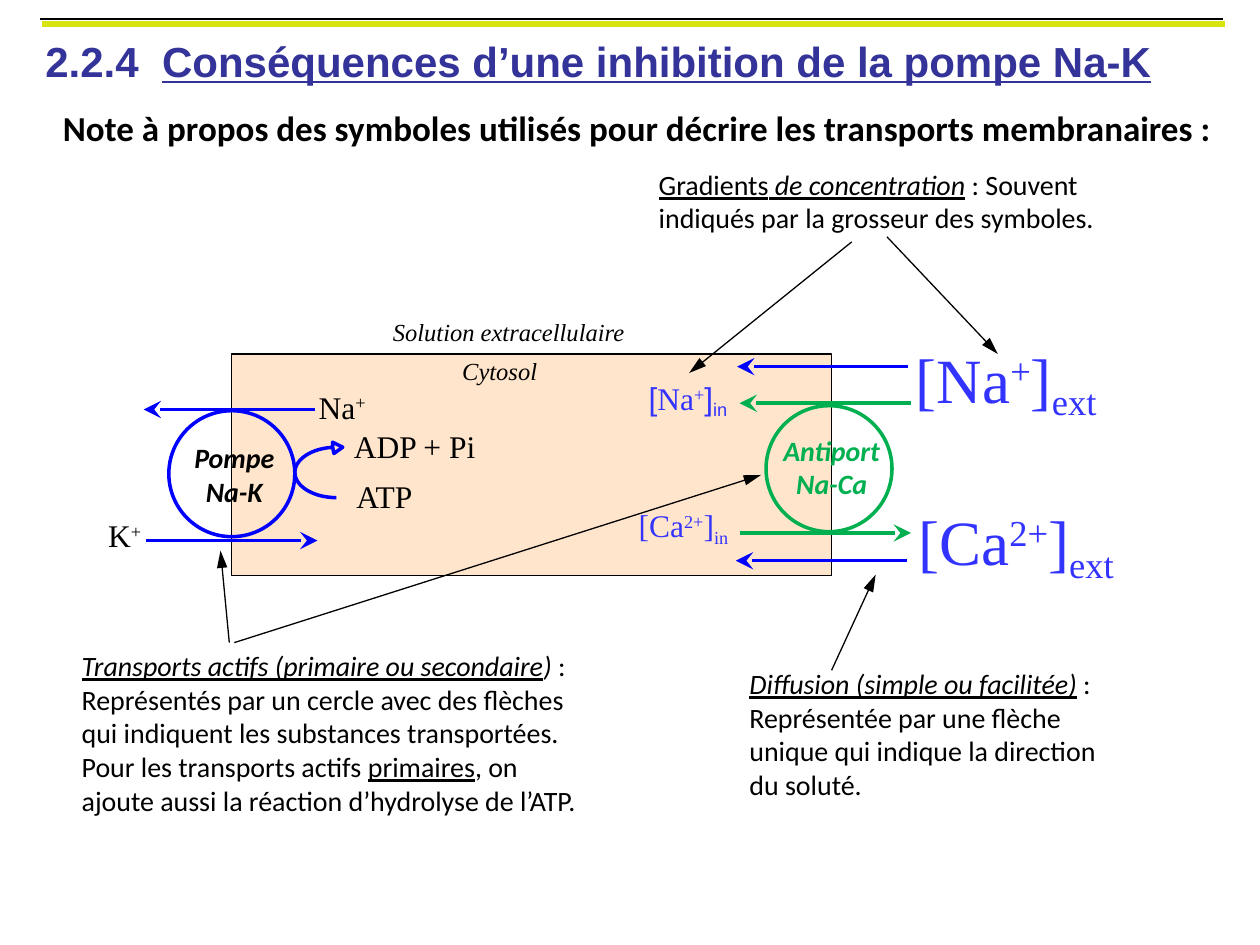
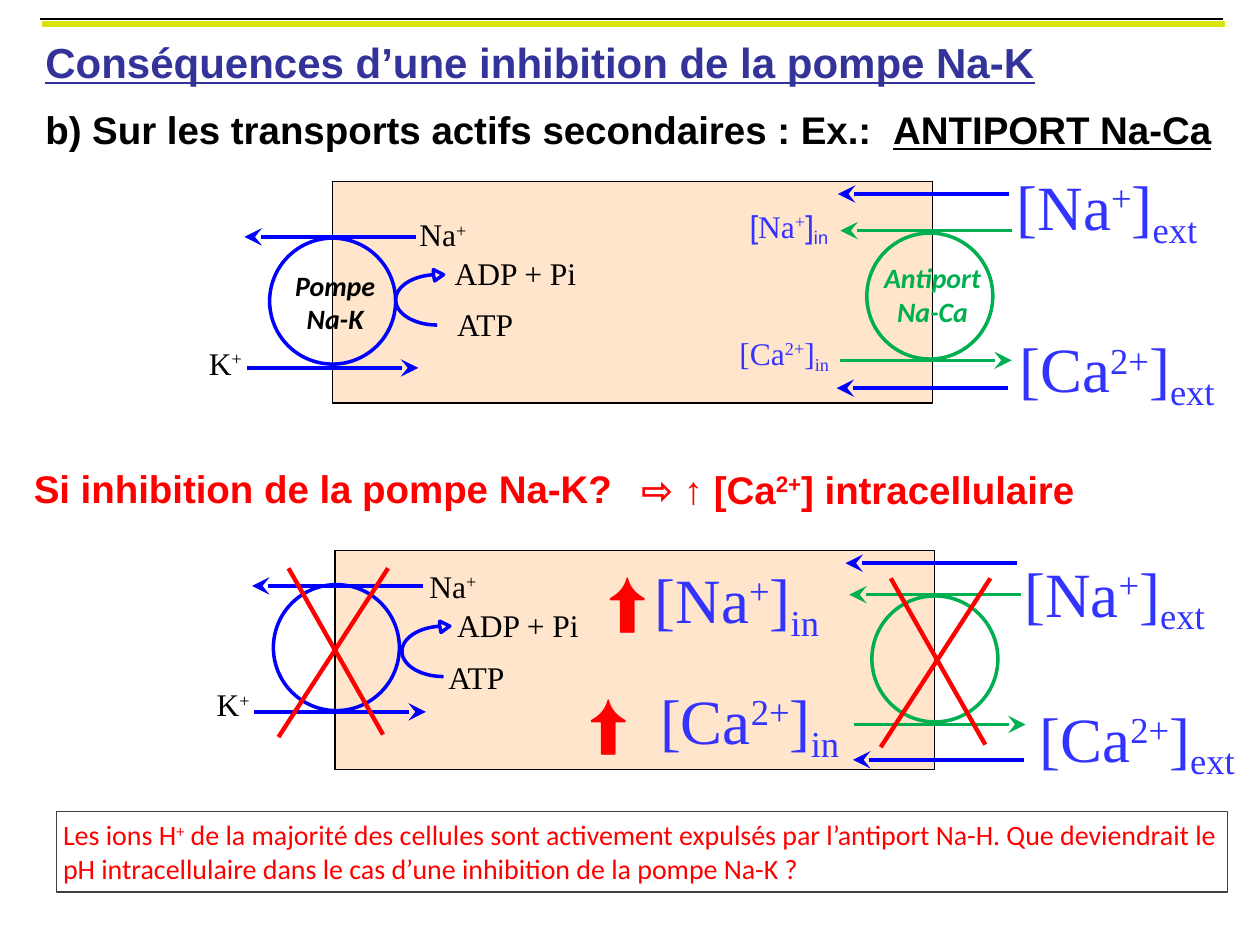
import math
from dataclasses import dataclass

import lxml.etree
import pptx
import pptx.dml.color
import pptx.enum.shapes
import pptx.enum.text
import pptx.oxml.ns
import pptx.util

Inches = pptx.util.Inches
qn = pptx.oxml.ns.qn


@dataclass(frozen=True)
class Theme:
    """Hold the colours, fonts and type sizes."""
    black: str = "000000"
    lime: str = "D9E30D"
    navy: str = "333399"
    blue: str = "0000FF"
    ion: str = "3333FF"
    green: str = "00B050"
    red: str = "FF0000"
    frame: str = "404040"
    peach: str = "FFCC99"
    sans: str = "Arial"
    note: str = "Calibri"
    serif: str = "Times New Roman"
    title: int = 24
    lead: int = 22
    head: int = 20
    body: int = 16
    label: int = 18
    small: int = 14
    large: int = 36


T = Theme()
PUMP = {"Na line": (-0.2, -0.01), "K line": (-0.18, 1.03), "arc": (1, 0.29),
        "Na": (1.09, -0.23), "K": (-0.58, 0.79), "ADP": (1.37, 0.08), "ATP": (1.39, 0.48)}
SWAP = {"Na swap": (-0.21, -0.02), "Ca swap": (-0.21, 1.01),
        "Na leak": (-0.23, -0.31), "Ca leak": (-0.24, 1.23),
        "Na out": (1.09, -0.57), "Ca out": (1.11, 0.72)}
REACH = 1.36


def tint(hue):
    """Turn a hex string into a colour."""
    return pptx.dml.color.RGBColor.from_string(hue)


def style(run, marks, size, face, hue):
    """Format a run; marks are b, i, u, a (sans), ^ (super) and _ (sub)."""
    font = run.font
    font.size = pptx.util.Pt(size)
    font.name = T.sans if "a" in marks else face
    font.color.rgb = tint(hue)
    font.bold, font.italic, font.underline = ("b" in marks, "i" in marks, "u" in marks)
    for mark, shift in (("^", "30000"), ("_", "-20000")):
        if mark in marks:
            font._element.set("baseline", shift)


def fill_text(para, parts, size, face, hue):
    """Add (text, marks) parts to a paragraph."""
    for text, marks in parts:
        run = para.add_run()
        run.text = text
        style(run, marks, size, face, hue)


def write(page, box, paras, size, face=T.note, hue=T.black, wrap=True, mid=False):
    """Place a text box holding paragraphs of marked parts."""
    area = page.shapes.add_textbox(*map(Inches, box))
    frame = area.text_frame
    frame.word_wrap = wrap
    frame.auto_size = pptx.enum.text.MSO_AUTO_SIZE.SHAPE_TO_FIT_TEXT
    for i, parts in enumerate(paras):
        para = frame.add_paragraph() if i else frame.paragraphs[0]
        if mid:
            para.alignment = pptx.enum.text.PP_ALIGN.CENTER
        fill_text(para, parts, size, face, hue)
    return area


def label(page, x, y, width, parts, size=T.label, hue=T.black):
    """Place a one-line serif label."""
    height = {T.small: 0.34, T.label: 0.4, T.large: 0.7}[size]
    write(page, (x, y, width, height), [parts], size, T.serif, hue, wrap=False)


def ion(name, charge, side):
    """Give the parts of a concentration symbol."""
    return [("[" + name, ""), (charge, "^"), ("]", ""), (side, "_")]


def line(page, start, end, hue, width, tip=None, girth="lg"):
    """Draw a straight line, with a tip at its end if named."""
    link = page.shapes.add_connector(pptx.enum.shapes.MSO_CONNECTOR.STRAIGHT,
                                     *map(Inches, (*start, *end)))
    link.line.color.rgb = tint(hue)
    link.line.width = pptx.util.Pt(width)
    props = link._element.spPr
    if tip:
        lxml.etree.SubElement(props.find(qn("a:ln")), qn("a:tailEnd"),
                              type=tip, w=girth, len="lg")
    lxml.etree.SubElement(props, qn("a:effectLst"))


def flow(page, x, y, hue, left=False):
    """Draw a level transport arrow from its left corner."""
    ends = [(x, y), (x + REACH, y)]
    line(page, *(ends[::-1] if left else ends), hue, 2, "stealth")


def point(page, start, end):
    """Draw a thin pointer from a note to the drawing."""
    line(page, start, end, T.black, 0.75, "triangle", "med")


def ring(page, x, y, hue):
    """Draw the circle of an active transport."""
    disc = page.shapes.add_shape(pptx.enum.shapes.MSO_SHAPE.OVAL,
                                 *map(Inches, (x, y, 1, 1)))
    disc.shadow.inherit = False
    disc.fill.background()
    disc.line.color.rgb = tint(hue)
    disc.line.width = pptx.util.Pt(2)


def cell(page, x, y, height=1.76):
    """Draw the half-clear cytosol box."""
    box = page.shapes.add_shape(pptx.enum.shapes.MSO_SHAPE.RECTANGLE,
                                *map(Inches, (x, y, 4.76, height)))
    box.shadow.inherit = False
    box.fill.solid()
    box.fill.fore_color.rgb = tint(T.peach)
    shade = box._element.spPr.find(qn("a:solidFill")).find(qn("a:srgbClr"))
    lxml.etree.SubElement(shade, qn("a:alpha"), val="50000")
    box.line.color.rgb = tint(T.black)
    box.line.width = pptx.util.Pt(0.75)


def bend(page, x, y):
    """Draw the curved arrow from ATP to ADP."""
    turns = [math.radians(90 + 6 * i) for i in range(30)]
    curve = [(0.33 + 0.33 * math.cos(t), 0.2 + 0.2 * math.sin(t)) for t in turns]
    tip = [(0.3, 0), (0.3, -0.04), (0.38, 0), (0.31, 0.05), (0.3, 0)]
    spots = [(Inches(x + dx), Inches(y + dy)) for dx, dy in curve + tip]
    pen = page.shapes.build_freeform(*spots[0])
    pen.add_line_segments(spots[1:], close=False)
    arc = pen.convert_to_shape()
    arc.shadow.inherit = False
    arc.fill.background()
    arc.line.color.rgb = tint(T.blue)
    arc.line.width = pptx.util.Pt(2)


def shift(x, y, spots):
    """Move named spots to a corner."""
    return {name: (x + dx, y + dy) for name, (dx, dy) in spots.items()}


def pump(page, x, y, named=True, **moves):
    """Draw the Na-K pump around its circle's corner."""
    at = shift(x, y, PUMP | moves)
    ring(page, x, y, T.blue)
    flow(page, *at["Na line"], T.blue, left=True)
    flow(page, *at["K line"], T.blue)
    bend(page, *at["arc"])
    label(page, *at["Na"], 0.59, [("Na", ""), ("+", "^")])
    label(page, *at["K"], 0.48, [("K", ""), ("+", "^")])
    label(page, *at["ADP"], 1.18, [("ADP + Pi", "")])
    label(page, *at["ATP"], 0.67, [("ATP", "")])
    if named:
        write(page, (x, y + 0.19, 1.04, 0.64), [[("Pompe Na-K", "bi")]], T.body, mid=True)


def swap(page, x, y, named=True, **moves):
    """Draw the Na-Ca antiport around its circle's corner."""
    at = shift(x, y, SWAP | moves)
    ring(page, x, y, T.green)
    flow(page, *at["Na swap"], T.green, left=True)
    flow(page, *at["Ca swap"], T.green)
    for name in ("Na leak", "Ca leak"):
        flow(page, *at[name], T.blue, left=True)
    label(page, *at["Na out"], 1.71, ion("Na", "+", "ext"), T.large, T.ion)
    label(page, *at["Ca out"], 1.85, ion("Ca", "2+", "ext"), T.large, T.ion)
    if named:
        write(page, (x - 0.04, y + 0.17, 1.12, 0.64), [[("Antiport Na-Ca", "bi")]],
              T.body, hue=T.green, mid=True)
        label(page, x - 1.03, y - 0.26, 0.85,
              [("[", "a"), ("Na", ""), ("+", "^"), ("]", "a"), ("in", "a_")], hue=T.ion)
        label(page, x - 1.11, y + 0.75, 0.95, ion("Ca", "2+", "in"), hue=T.ion)


def normal(page, x, y):
    """Draw the working cell from its box corner."""
    cell(page, x, y)
    pump(page, x - 0.5, y + 0.45)
    swap(page, x + 4.24, y + 0.41)


def cross(page, x, y):
    """Strike out a transport."""
    for start, end in (((0.04, 1.21), (0.91, -0.13)), ((0.12, -0.13), (0.87, 1.19))):
        line(page, (x + start[0], y + start[1]), (x + end[0], y + end[1]), T.red, 2.5)


def blocked(page, x, y):
    """Draw the cell with its pump blocked."""
    cell(page, x, y, 1.74)
    px, py = x - 0.49, y + 0.27
    pump(page, px, py, False,
         **{"Na line": (-0.17, 0.01), "K line": (-0.15, 1.01), "arc": (1.02, 0.33),
            "Na": (1.14, -0.19), "K": (-0.55, 0.75), "ADP": (1.36, 0.12), "ATP": (1.29, 0.53)})
    cross(page, px, py)
    sx, sy = x + 4.26, y + 0.36
    swap(page, sx, sy, False,
         **{"Na swap": (-0.18, -0.01), "Ca swap": (-0.14, 1.02),
            "Na leak": (-0.21, -0.26), "Ca leak": (-0.15, 1.3),
            "Na out": (1.11, -0.38), "Ca out": (1.23, 0.77)})
    cross(page, sx + 0.03, sy - 0.01)
    sodium = write(page, (x + 2.07, y + 0.03, 2.07, 0.7),
                   [[("⬆", ""), (" ", "")] + ion("Na", "+", "in")],
                   T.large, T.serif, T.ion, wrap=False)
    rise, gap = sodium.text_frame.paragraphs[0].runs[:2]
    rise.font.color.rgb = tint(T.red)
    gap.font.size = pptx.util.Pt(T.label)
    label(page, x + 1.92, y + 1, 0.65, [("⬆", "")], T.large, T.red)
    label(page, x + 2.48, y + 0.99, 1.7, ion("Ca", "2+", "in"), T.large, T.ion)


def start(deck, parts, top, height):
    """Add a slide with its top rules and title."""
    page = deck.slides.add_slide(deck.slide_layouts[5])
    line(page, (0.33, 0.19), (9.72, 0.19), T.lime, 3)
    line(page, (0.32, 0.15), (9.71, 0.15), T.black, 1.5)
    head = page.shapes.title
    head.left, head.top, head.width, head.height = map(Inches, (0.26, top, 9.74, height))
    frame = head.text_frame
    frame.word_wrap = True
    frame.auto_size = pptx.enum.text.MSO_AUTO_SIZE.NONE
    frame.vertical_anchor = pptx.enum.text.MSO_ANCHOR.MIDDLE
    frame.paragraphs[0].alignment = pptx.enum.text.PP_ALIGN.LEFT
    fill_text(frame.paragraphs[0], parts, T.title, T.sans, T.navy)
    return page


def symbols(deck):
    """Build the slide on transport symbols."""
    page = start(deck, [("2.2.4  ", "b"),
                        ("Conséquences d’une inhibition de la pompe Na-K", "bu")], 0.23, 0.5)
    write(page, (0.4, 0.8, 9.4, 0.44), [[(
        "Note à propos des symboles utilisés pour décrire les transports membranaires :", "b")]],
        T.head)
    normal(page, 1.84, 2.81)
    label(page, 3.57, 2.78, 0.8, [("Cytosol", "i")], T.small)
    label(page, 3.02, 2.47, 2.06, [("Solution extracellulaire", "i")], T.small)
    write(page, (5.13, 1.28, 3.7, 0.64), [[
        ("Gradients", "u"), (" de concentration", "iu"), (" ", "i"),
        (": Souvent indiqués par la grosseur des symboles.", "")]], T.body)
    write(page, (5.85, 5.24, 3.03, 1.18), [
        [("Diffusion (simple ou facilitée)", "iu"), (" ", "i"), (":", "")],
        [("Représentée par une flèche unique qui indique la direction du soluté.", "")]], T.body)
    write(page, (0.55, 5.1, 4.22, 1.45), [
        [("Transports actifs (primaire ou secondaire", "iu"), (") ", "i"), (":", "")],
        [("Représentés par un cercle avec des flèches qui indiquent les substances "
          "transportées.", "")],
        [("Pour les transports actifs ", ""), ("primaires", "u"),
         (", on ajoute aussi la réaction d’hydrolyse de l’ATP.", "")]], T.body)
    for ends in (((7.04, 1.88), (7.92, 2.81)), ((6.76, 1.92), (5.47, 2.96)),
                 ((1.82, 5.1), (1.75, 4.37)), ((1.86, 5.1), (6.04, 3.77)),
                 ((6.6, 5.32), (6.95, 4.56))):
        point(page, *ends)


def effects(deck):
    """Build the slide on the blocked pump."""
    page = start(deck, [("Conséquences d’une inhibition de la pompe Na-K", "bu")], 0.22, 1.06)
    lead = page.shapes.title.text_frame.add_paragraph()
    lead.alignment = pptx.enum.text.PP_ALIGN.LEFT
    lead.space_before = pptx.util.Pt(11)
    fill_text(lead, [("b) Sur les transports actifs secondaires : Ex.:  ", "b"),
                     ("ANTIPORT Na-Ca", "bu")], T.lead, T.sans, T.black)
    normal(page, 2.64, 1.44)
    write(page, (0.17, 3.64, 5.03, 0.47), [[("Si inhibition de la pompe Na-K?", "b")]],
          T.lead, T.sans, T.red)
    write(page, (4.99, 3.65, 3.88, 0.47), [[
        ("⇨ ↑ [Ca", "b"), ("2+", "b^"), ("] intracellulaire", "b")]], T.lead, T.sans, T.red)
    blocked(page, 2.66, 4.37)
    quiz = write(page, (0.45, 6.44, 9.29, 0.64), [[
        ("Les ions H", ""), ("+", "^"),
        (" de la majorité des cellules sont activement expulsés par l’antiport Na-H. "
         "Que deviendrait le pH intracellulaire dans le cas d’une inhibition de la "
         "pompe Na-K ?", "")]], T.body, hue=T.red)
    quiz.line.color.rgb = tint(T.frame)
    quiz.line.width = pptx.util.Pt(0.75)
    quiz.text_frame.margin_left = quiz.text_frame.margin_right = Inches(0.05)


def main():
    """Build and save the deck."""
    deck = pptx.Presentation()
    deck.slide_width, deck.slide_height = Inches(10), Inches(7.5)
    symbols(deck)
    effects(deck)
    deck.save("out.pptx")


if __name__ == "__main__":
    main()
